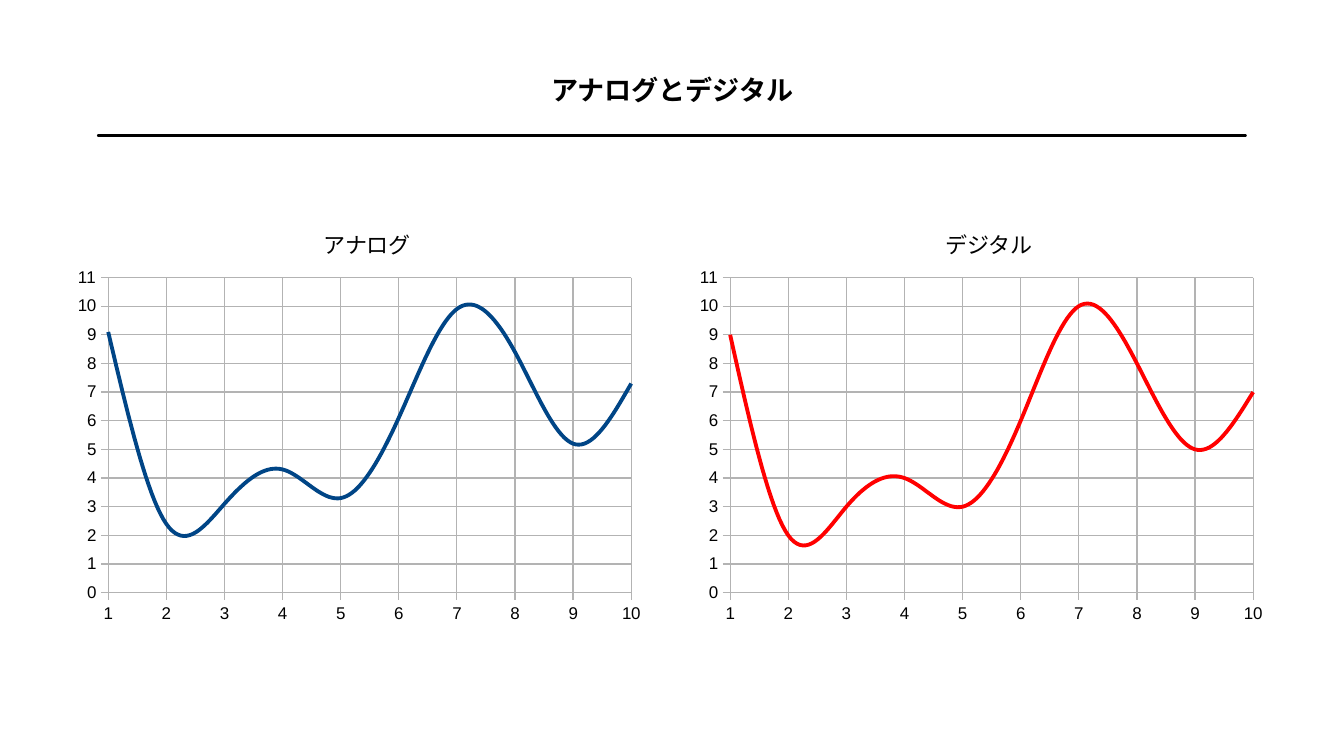
from dataclasses import dataclass

from lxml.etree import SubElement
from pptx import Presentation
from pptx.chart.data import CategoryChartData
from pptx.dml.color import RGBColor
from pptx.enum.chart import XL_CHART_TYPE as ChartType, XL_TICK_MARK as TickMark
from pptx.enum.shapes import MSO_CONNECTOR as Connector
from pptx.enum.text import MSO_ANCHOR as Anchor, PP_ALIGN as Align
from pptx.oxml import parse_xml
from pptx.oxml.ns import nsdecls, qn
from pptx.util import Pt

BLACK = RGBColor(0x00, 0x00, 0x00)
GRAY = RGBColor(0xB3, 0xB3, 0xB3)
BLUE = RGBColor(0x00, 0x45, 0x86)
RED = RGBColor(0xFF, 0x00, 0x00)
LATIN = "Arial"
JAPANESE = "Noto Sans CJK SC"


@dataclass
class Signal:
    title: str
    left: float
    values: list[float]
    color: RGBColor


SIGNALS = [
    Signal("アナログ", 39.6, [9.1, 2.4, 3.1, 4.3, 3.3, 6.1, 9.9, 8.4, 5.2, 7.3], BLUE),
    Signal("デジタル", 406.8, [9, 2, 3, 4, 3, 6, 10, 8, 5, 7], RED),
]


def format_run(r, size: float, name: str, bold: bool) -> None:
    r.font.size = Pt(size)
    r.font.name = name
    r.font.bold = bold
    r.font.color.rgb = BLACK
    SubElement(r.font._element, qn("a:ea")).set("typeface", JAPANESE)


def set_layout(parent, index: int, **fractions: float) -> None:
    for old in parent.findall(qn("c:layout")):
        parent.remove(old)
    layout = parse_xml(f"<c:layout {nsdecls('c')}/>")
    manual = SubElement(layout, qn("c:manualLayout"))
    if "w" in fractions:
        SubElement(manual, qn("c:layoutTarget")).set("val", "inner")
    for mode in ("xMode", "yMode"):
        SubElement(manual, qn(f"c:{mode}")).set("val", "edge")
    for key, value in fractions.items():
        SubElement(manual, qn(f"c:{key}")).set("val", str(value))
    parent.insert(index, layout)


def format_axis(axis) -> None:
    axis.has_major_gridlines = True
    axis.major_tick_mark = TickMark.OUTSIDE
    axis.minor_tick_mark = TickMark.NONE
    for line in (axis.format.line, axis.major_gridlines.format.line):
        line.color.rgb = GRAY
        line.width = Pt(0)


def start_on_axis(axis) -> None:
    el = axis._element
    for old in el.findall(qn("c:crossBetween")):
        el.remove(old)
    cross = parse_xml(f'<c:crossBetween {nsdecls("c")} val="midCat"/>')
    el.find(qn("c:crosses")).addnext(cross)


def add_title(slide, text: str) -> None:
    sp = slide.shapes.title
    sp.left, sp.top, sp.width, sp.height = Pt(256), Pt(26), Pt(282), Pt(54)
    tf = sp.text_frame
    tf.text = text
    tf.vertical_anchor = Anchor.MIDDLE
    p = tf.paragraphs[0]
    p.alignment = Align.CENTER
    format_run(p.runs[0], 16, JAPANESE, True)


def add_rule(slide) -> None:
    rule = slide.shapes.add_connector(
        Connector.STRAIGHT, Pt(58.4), Pt(80), Pt(735), Pt(80))
    rule.line.color.rgb = BLACK
    rule.line.width = Pt(2.3)
    rule.line._ln.set("cap", "rnd")
    SubElement(rule._element.spPr, qn("a:effectLst"))


def add_signal_chart(slide, signal: Signal) -> None:
    data = CategoryChartData()
    data.categories = [str(n) for n in range(1, 11)]
    data.add_series("Series 1", signal.values)
    chart = slide.shapes.add_chart(
        ChartType.LINE, Pt(signal.left), Pt(118), Pt(347), Pt(255), data).chart
    chart.has_legend = False
    chart.font.size = Pt(10)
    chart.font.name = LATIN
    chart.font.color.rgb = BLACK

    chart.has_title = True
    title = chart.chart_title
    title.text_frame.text = signal.title
    format_run(title.text_frame.paragraphs[0].runs[0], 13, LATIN, False)
    set_layout(title._element, 1, x=0.43, y=0.05)

    format_axis(chart.category_axis)
    axis = chart.value_axis
    format_axis(axis)
    axis.minimum_scale, axis.maximum_scale, axis.major_unit = 0, 11, 1
    start_on_axis(axis)

    plot = chart.plots[0]
    plot.vary_by_categories = False
    set_layout(plot._element.getparent(), 0, x=0.07, y=0.18, w=0.89, h=0.73)
    series = plot.series[0]
    series.smooth = True
    series.format.line.color.rgb = signal.color
    series.format.line.width = Pt(2.27)


def main() -> None:
    prs = Presentation()
    prs.slide_width, prs.slide_height = Pt(793.5), Pt(446.4)
    slide = prs.slides.add_slide(prs.slide_layouts[5])
    add_title(slide, "アナログとデジタル")
    add_rule(slide)
    for signal in SIGNALS:
        add_signal_chart(slide, signal)
    prs.save("out.pptx")


if __name__ == "__main__":
    main()
